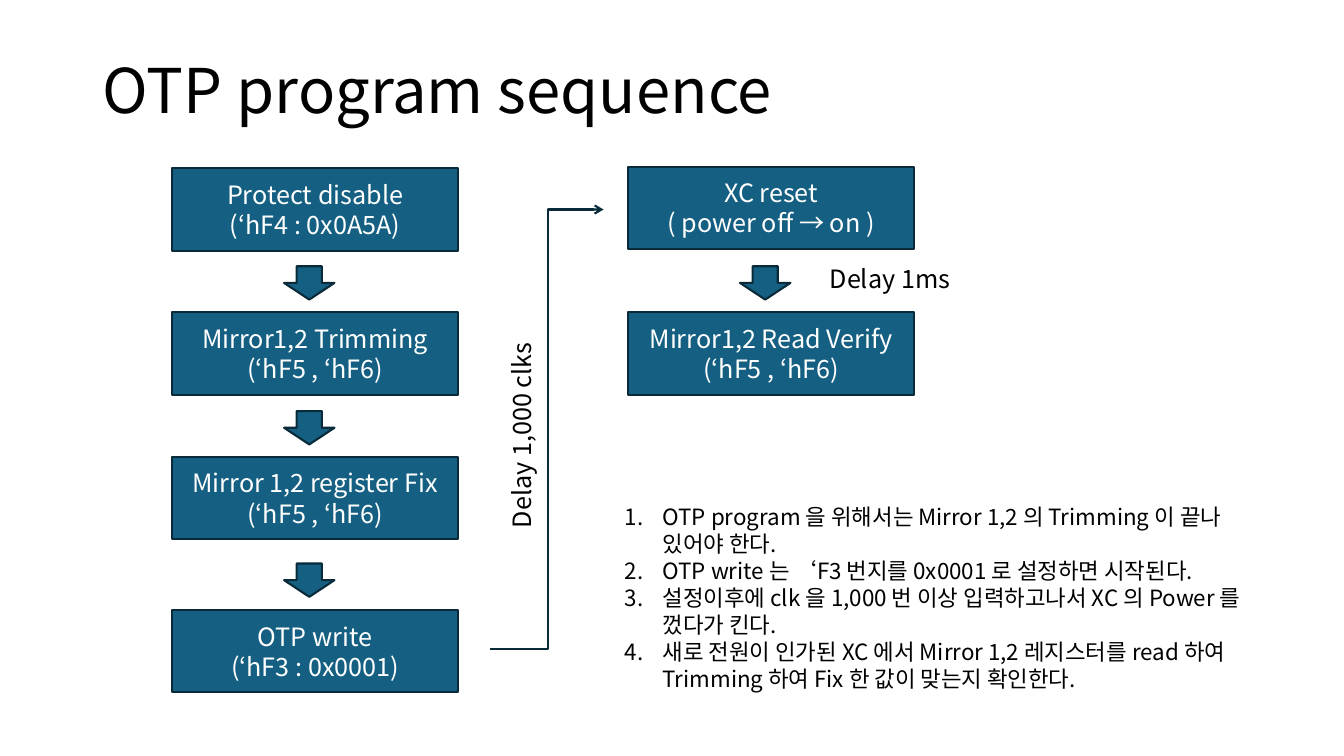
from lxml import etree
from pptx import Presentation
from pptx.dml.color import RGBColor
from pptx.enum.shapes import MSO_SHAPE
from pptx.enum.text import MSO_ANCHOR, PP_ALIGN
from pptx.oxml.ns import qn
from pptx.util import Cm, Pt

RECTANGLE, DOWN_ARROW = MSO_SHAPE.RECTANGLE, MSO_SHAPE.DOWN_ARROW
LEFT, CENTER = PP_ALIGN.LEFT, PP_ALIGN.CENTER
TOP, MIDDLE = MSO_ANCHOR.TOP, MSO_ANCHOR.MIDDLE
FONT = "Noto Sans CJK KR"
COLORS = {"fill": "156082", "line": "092A39", "dark": "000000", "light": "FFFFFF"}


def write_text(shape, lines, size=18, color="dark", align=LEFT, anchor=TOP,
               spacing=Pt(21.5), numbered=False):
    frame = shape.text_frame
    frame.word_wrap = True
    frame.vertical_anchor = anchor
    for index, line in enumerate(lines):
        paragraph = frame.add_paragraph() if index else frame.paragraphs[0]
        if numbered:
            properties = paragraph._p.get_or_add_pPr()
            properties.set("marL", str(Cm(0.95)))
            properties.set("indent", str(-Cm(0.95)))
            etree.SubElement(properties, qn("a:buFont"), typeface="+mj-lt")
            etree.SubElement(properties, qn("a:buAutoNum"), type="arabicPeriod")
        paragraph.alignment = align
        paragraph.line_spacing = spacing
        run = paragraph.add_run()
        run.text = line
        run.font.size = Pt(size)
        run.font.name = FONT
        run.font.color.rgb = RGBColor.from_string(COLORS[color])
        etree.SubElement(run._r.get_or_add_rPr(), qn("a:ea"), typeface=FONT)


def style_shape(shape, filled=True):
    shape.shadow.inherit = False
    if filled:
        shape.fill.solid()
        shape.fill.fore_color.rgb = RGBColor.from_string(COLORS["fill"])
    else:
        shape.fill.background()
    shape.line.color.rgb = RGBColor.from_string(COLORS["line"])
    shape.line.width = Pt(1.5)


presentation = Presentation()
presentation.slide_width, presentation.slide_height = Cm(33.87), Cm(19.05)
slide = presentation.slides.add_slide(presentation.slide_layouts[5])
shapes = slide.shapes

# Title
title = shapes.title
title.left, title.top, title.width, title.height = Cm(2.34), Cm(0.51), Cm(29.21), Cm(3.68)
write_text(title, ["OTP program sequence"], size=44, anchor=MIDDLE, spacing=0.9)

# Step boxes: left, top, lines
LEFT_COLUMN, RIGHT_COLUMN = 4.34, 15.83
steps = [
    (LEFT_COLUMN, 4.24, ["Protect disable", "(‘hF4 : 0x0A5A)"]),
    (LEFT_COLUMN, 7.87, ["Mirror1,2 Trimming", "(‘hF5 , ‘hF6)"]),
    (LEFT_COLUMN, 11.51, ["Mirror 1,2 register Fix", "(‘hF5 , ‘hF6)"]),
    (LEFT_COLUMN, 15.37, ["OTP write", "(‘hF3 : 0x0001)"]),
    (RIGHT_COLUMN, 4.2, ["XC reset", "( power off → on )"]),
    (RIGHT_COLUMN, 7.87, ["Mirror1,2 Read Verify", "(‘hF5 , ‘hF6)"]),
]
for left, top, lines in steps:
    box = shapes.add_shape(RECTANGLE, Cm(left), Cm(top), Cm(7.21), Cm(2.08))
    style_shape(box)
    write_text(box, lines, color="light", align=CENTER, anchor=MIDDLE)

# Arrows between the steps of a column
for column, top in [(LEFT_COLUMN, 6.71), (LEFT_COLUMN, 10.36), (LEFT_COLUMN, 14.2),
                    (RIGHT_COLUMN, 6.71)]:
    arrow = shapes.add_shape(DOWN_ARROW, Cm(column + 2.82), Cm(top), Cm(1.27), Cm(0.84))
    style_shape(arrow)

# Elbow line from OTP write up to XC reset, arrowhead at its first point
builder = shapes.build_freeform(Cm(15.21), Cm(5.28))
builder.add_line_segments(
    [(Cm(13.82), Cm(5.28)), (Cm(13.82), Cm(16.36)), (Cm(12.34), Cm(16.36))], close=False)
elbow = builder.convert_to_shape()
style_shape(elbow, filled=False)
etree.SubElement(elbow.line._get_or_add_ln(), qn("a:headEnd"), type="arrow")

# Delay labels
for text, left, top, width, rotation in [
    ("Delay 1,000 clks", 10.57, 10.46, 5.18, 270),
    ("Delay 1ms", 20.66, 6.52, 4.2, 0),
]:
    label = shapes.add_textbox(Cm(left), Cm(top), Cm(width), Cm(1.02))
    label.rotation = rotation
    write_text(label, [text])

# Numbered notes
notes = shapes.add_textbox(Cm(15.5), Cm(12.55), Cm(17.04), Cm(5.74))
write_text(notes, [
    "OTP program 을 위해서는 Mirror 1,2 의 Trimming 이 끝나 있어야 한다.",
    "OTP write 는 ‘F3 번지를 0x0001 로 설정하면 시작된다.",
    "설정이후에 clk 을 1,000 번 이상 입력하고나서 XC 의 Power 를 껐다가 킨다.",
    "새로 전원이 인가된 XC 에서 Mirror 1,2 레지스터를 read 하여 Trimming 하여 Fix 한 값이 맞는지 확인한다.",
], size=16, spacing=Pt(19.3), numbered=True)

presentation.save("out.pptx")
